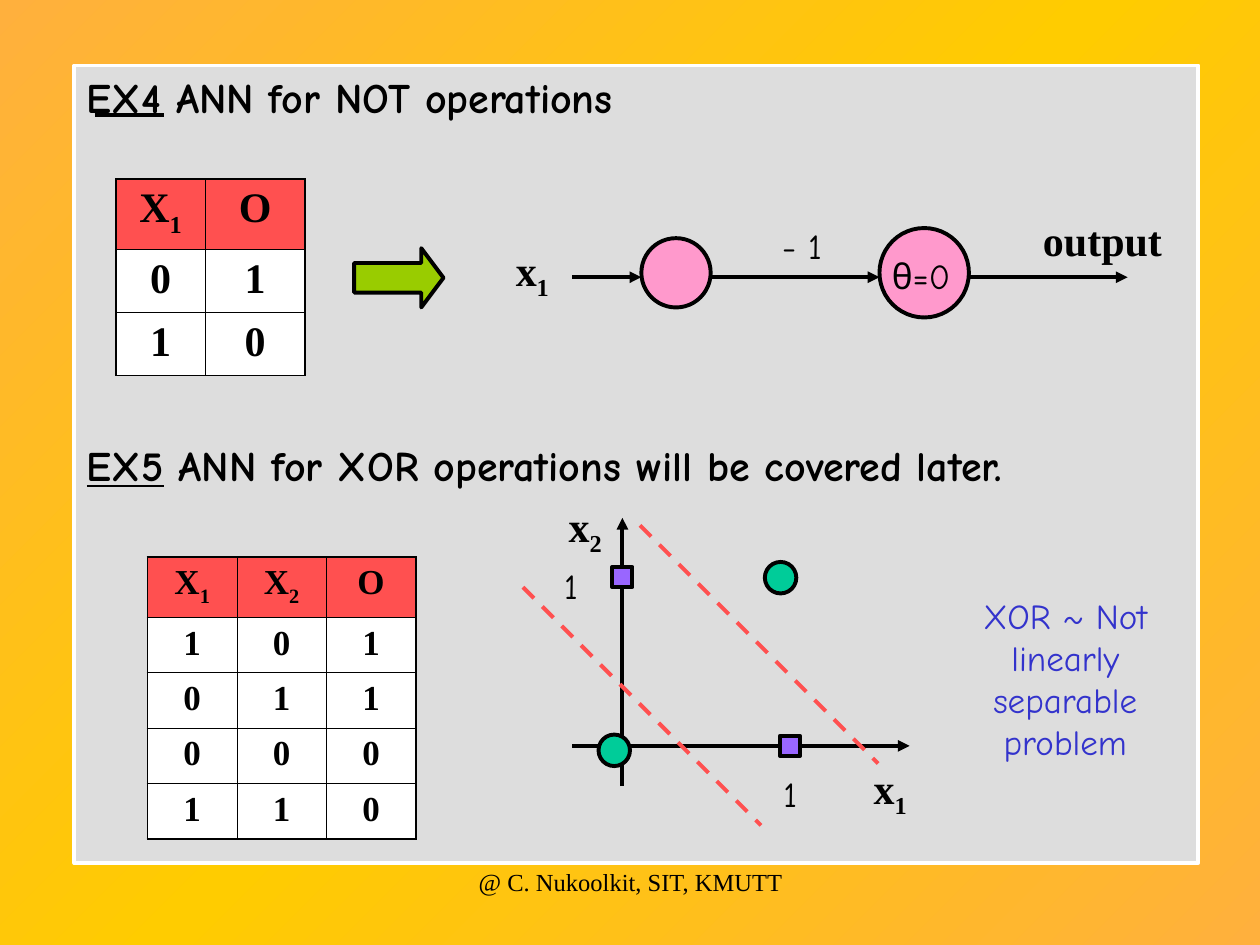
from copy import deepcopy

from lxml.etree import SubElement
from pptx import Presentation
from pptx.dml.color import RGBColor
from pptx.enum.dml import MSO_LINE
from pptx.enum.shapes import MSO_CONNECTOR, MSO_SHAPE
from pptx.enum.text import MSO_ANCHOR, PP_ALIGN
from pptx.oxml.ns import qn
from pptx.util import Inches, Pt

COMIC, TIMES = "Comic Neue", "Times New Roman"
BLACK, WHITE, RED = "000000", "FFFFFF", "FF5050"
PINK, PURPLE, GREEN = "FF99CC", "9966FF", "00CC99"
color = RGBColor.from_string

presentation = Presentation()
presentation.slide_width, presentation.slide_height = Inches(10), Inches(7.5)
slide = presentation.slides.add_slide(presentation.slide_layouts[6])


def write(frame, runs, size, font, centered=True, bold=False, ink=BLACK):
    """Fill the first paragraph with (text, style) runs; style is "", "sub" or "underline"."""
    frame.word_wrap = True
    paragraph = frame.paragraphs[0]
    paragraph.alignment = PP_ALIGN.CENTER if centered else PP_ALIGN.LEFT
    for text, style in runs:
        run = paragraph.add_run()
        run.text = text
        run.font.size, run.font.name, run.font.bold = Pt(size), font, bold
        run.font.color.rgb = color(ink)
        if style == "underline":
            run.font.underline = True
        elif style == "sub":
            run.font._element.set("baseline", "-25000")


def add_outlined_shape(kind, left, top, width, height, fill, outline=BLACK):
    shape = slide.shapes.add_shape(
        kind, Inches(left), Inches(top), Inches(width), Inches(height))
    shape.shadow.inherit = False
    shape.fill.solid()
    shape.fill.fore_color.rgb = color(fill)
    shape.line.color.rgb = color(outline)
    shape.line.width = Pt(2.25)
    return shape


# Background: diagonal gradient, orange - yellow - orange
background = slide.background.fill
background.gradient()
background.gradient_angle = 315
stop_list = slide.element.find(".//" + qn("a:gsLst"))
stop_list.append(deepcopy(stop_list[-1]))
for stop, position, shade in zip(
        background.gradient_stops, (0, 0.5, 1), ("FFB03D", "FFCC00", "FFB03D")):
    stop.position = position
    stop.color.rgb = color(shade)

# Panel with the EX5 heading
panel = add_outlined_shape(MSO_SHAPE.RECTANGLE, 0.59, 0.52, 8.92, 6.33, "DDDDDD", WHITE)
panel.text_frame.vertical_anchor = MSO_ANCHOR.MIDDLE
write(panel.text_frame,
      [("EX5", "underline"), (" ANN for XOR operations will be covered later.", "")],
      24, COMIC, centered=False, bold=True)

# Truth tables: left, top, column widths, header height, row height, text size, rows
x1, x2 = [("X", ""), ("1", "sub")], [("X", ""), ("2", "sub")]
output = [("O", "")]
truth_tables = [
    (0.92, 1.42, (0.71, 0.79), 0.56, 0.5, 24, [x1, output], ["01", "10"]),
    (1.17, 4.42, (0.71, 0.71, 0.71), 0.48, 0.44, 20,
     [x1, x2, output], ["101", "011", "000", "110"]),
]
for left, top, widths, header_height, row_height, size, header, body in truth_tables:
    rows = [header] + [[[(digit, "")] for digit in line] for line in body]
    last_row, last_column = len(rows) - 1, len(widths) - 1
    table = slide.shapes.add_table(
        len(rows), len(widths), Inches(left), Inches(top), Inches(sum(widths)),
        Inches(header_height + row_height * len(body))).table
    for column, width in zip(table.columns, widths):
        column.width = Inches(width)
    for row_index, row in enumerate(rows):
        table.rows[row_index].height = Inches(row_height if row_index else header_height)
        for column_index, runs in enumerate(row):
            cell = table.cell(row_index, column_index)
            outer_edges = {
                "a:lnL": column_index == 0, "a:lnR": column_index == last_column,
                "a:lnT": row_index == 0, "a:lnB": row_index == last_row,
            }
            properties = cell._tc.get_or_add_tcPr()
            for edge, is_outer in outer_edges.items():
                border = SubElement(
                    properties, qn(edge), w=str(Pt(1.08 if is_outer else 0.45)))
                border_fill = SubElement(border, qn("a:solidFill"))
                SubElement(border_fill, qn("a:srgbClr"), val=BLACK)
            cell.fill.solid()
            cell.fill.fore_color.rgb = color(WHITE if row_index else RED)
            write(cell.text_frame, runs, size, TIMES, bold=True)

# Block arrow and the two neurons
block_arrow = add_outlined_shape(MSO_SHAPE.RIGHT_ARROW, 2.81, 1.97, 0.71, 0.47, "99CC00")
block_arrow.adjustments[0], block_arrow.adjustments[1] = 0.5, 0.375
add_outlined_shape(MSO_SHAPE.OVAL, 5.09, 1.89, 0.55, 0.55, PINK)
add_outlined_shape(MSO_SHAPE.OVAL, 6.98, 1.81, 0.71, 0.71, PINK)

# Lines: start x, start y, end x, end y, kind
lines = [
    (0.75, 0.91, 1.3, 0.91, "plain"),     # heading underline
    (4.54, 2.2, 5.09, 2.2, "arrow"),      # network
    (5.64, 2.2, 6.98, 2.2, "arrow"),
    (7.69, 2.2, 8.95, 2.2, "arrow"),
    (4.94, 6.24, 4.94, 4.11, "arrow"),    # axes
    (4.54, 5.92, 7.22, 5.92, "arrow"),
    (4.15, 4.66, 6.04, 6.55, "dashed"),   # decision boundaries
    (5.08, 4.17, 6.97, 6.06, "dashed"),
]
for *ends, kind in lines:
    connector = slide.shapes.add_connector(
        MSO_CONNECTOR.STRAIGHT, *(Inches(value) for value in ends))
    connector.line.width = Pt(2.25)
    connector.line.color.rgb = color(RED if kind == "dashed" else BLACK)
    if kind == "dashed":
        connector.line.dash_style = MSO_LINE.DASH
    elif kind == "arrow":
        SubElement(connector.line._get_or_add_ln(), qn("a:tailEnd"), type="triangle")
    SubElement(connector._element.spPr, qn("a:effectLst"))

# XOR points: squares output 1, circles output 0
for left, top in [(4.86, 4.5), (6.19, 5.84)]:
    add_outlined_shape(MSO_SHAPE.RECTANGLE, left, top, 0.16, 0.16, PURPLE)
for left, top in [(6.07, 4.46), (4.75, 5.83)]:
    add_outlined_shape(MSO_SHAPE.OVAL, left, top, 0.25, 0.25, GREEN)

# Text boxes: left, top, width, height, runs, size, font, centered, bold, ink
labels = [
    (0.59, 0.52, 8.75, 0.5, [("EX4 ANN for NOT operations", "")], 24, COMIC, False, True, BLACK),
    (3.83, 1.89, 0.79, 0.56, [("x", ""), ("1", "sub")], 24, TIMES, True, True, BLACK),
    (8.08, 1.65, 1.34, 0.5, [("output", "")], 24, TIMES, True, True, BLACK),
    (6.11, 1.73, 0.71, 0.44, [("- 1", "")], 20, COMIC, False, False, BLACK),
    (6.98, 1.97, 0.87, 0.44, [("θ=0", "")], 20, COMIC, False, False, BLACK),
    (6.67, 6, 0.79, 0.56, [("x", ""), ("1", "sub")], 24, TIMES, True, True, BLACK),
    (4.25, 3.92, 0.79, 0.56, [("x", ""), ("2", "sub")], 24, TIMES, True, True, BLACK),
    (6.12, 6.08, 0.47, 0.44, [("1", "")], 20, COMIC, False, False, BLACK),
    (4.38, 4.43, 0.47, 0.44, [("1", "")], 20, COMIC, False, False, BLACK),
    (7.58, 4.67, 1.75, 1.44, [("XOR ~ Not linearly separable problem", "")],
     20, COMIC, True, False, "3333CC"),
    (3.42, 6.83, 3.17, 0.5, [("@ C. Nukoolkit, SIT, KMUTT", "")], 14, TIMES, True, False, BLACK),
]
for left, top, width, height, *text_style in labels:
    box = slide.shapes.add_textbox(Inches(left), Inches(top), Inches(width), Inches(height))
    write(box.text_frame, *text_style)

presentation.save("out.pptx")
